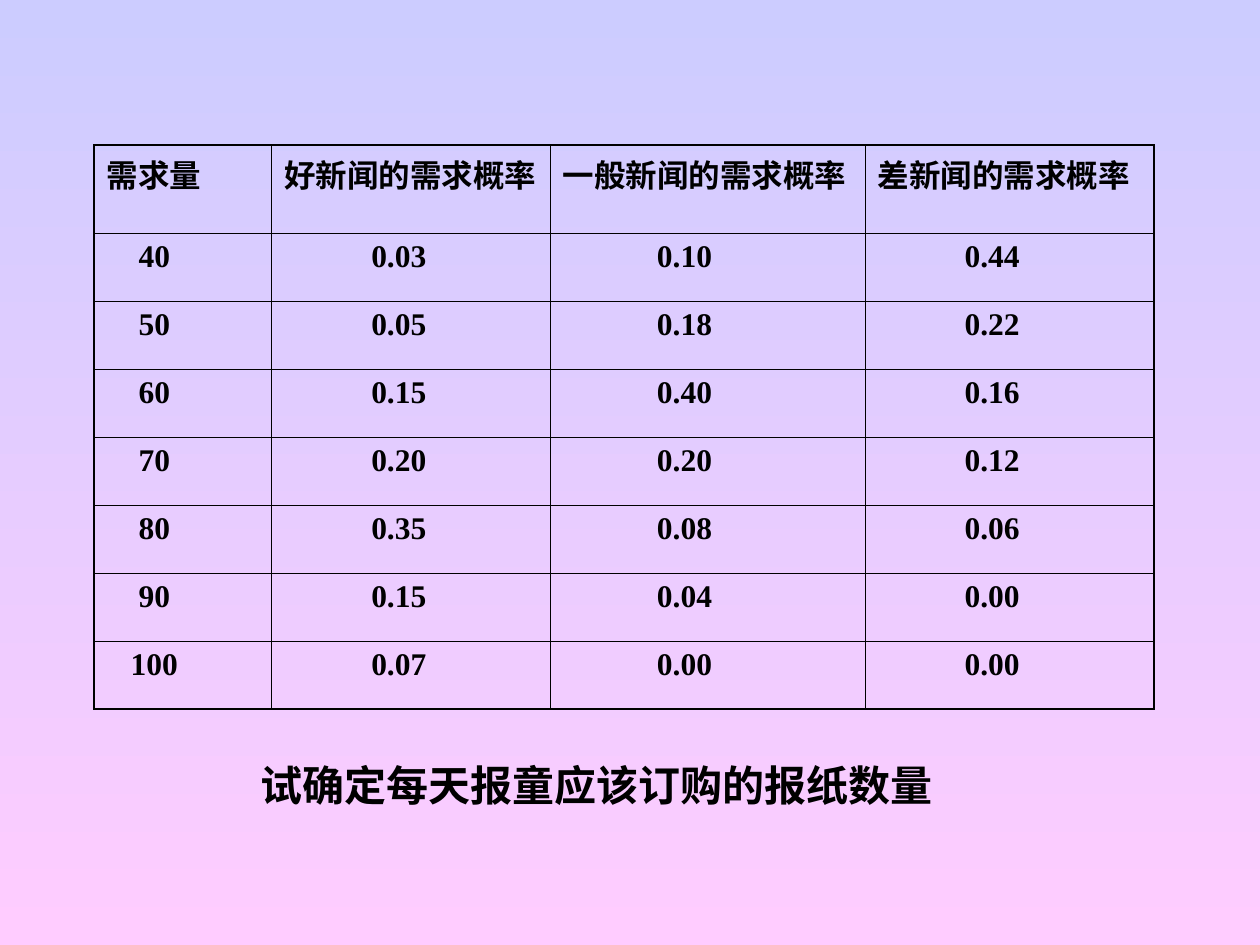
"""Build a slide with a table of newspaper demand probabilities."""
import pptx
import pptx.util
import pptx.dml.color
import pptx.oxml
import pptx.oxml.ns

Cm = pptx.util.Cm
Pt = pptx.util.Pt
BLACK = pptx.dml.color.RGBColor(0x00, 0x00, 0x00)
BLUE = pptx.dml.color.RGBColor(0xCC, 0xCC, 0xFF)
PINK = pptx.dml.color.RGBColor(0xFF, 0xCC, 0xFF)
THIN, THICK = Pt(0.45), Pt(1.08)
ROWS = [
    ("需求量", "好新闻的需求概率", "一般新闻的需求概率", "差新闻的需求概率"),
    ("40", "0.03", "0.10", "0.44"),
    ("50", "0.05", "0.18", "0.22"),
    ("60", "0.15", "0.40", "0.16"),
    ("70", "0.20", "0.20", "0.12"),
    ("80", "0.35", "0.08", "0.06"),
    ("90", "0.15", "0.04", "0.00"),
    ("100", "0.07", "0.00", "0.00"),
]
WIDTHS = [3.58, 5.61, 6.35, 5.82]
INDENTS = [0.64, 1.75, 1.9, 1.75]


def add_run(para, text, size, font):
    run = para.add_run()
    run.text = text
    run.font.size = Pt(size)
    run.font.name = font
    run.font.bold = True
    run.font.color.rgb = BLACK


def add_edge(cell, side, width):
    cell._tc.get_or_add_tcPr().append(pptx.oxml.parse_xml(
        f'<a:ln{side} {pptx.oxml.ns.nsdecls("a")} w="{width}"><a:solidFill>'
        f'<a:srgbClr val="{BLACK}"/></a:solidFill></a:ln{side}>'))


deck = pptx.Presentation()
deck.slide_width, deck.slide_height = Cm(25.4), Cm(19.05)
slide = deck.slides.add_slide(deck.slide_layouts[6])

back = slide.background.fill
back.gradient()
back.gradient_angle = 270
for stop, color in zip(back.gradient_stops, (BLUE, PINK)):
    stop.color.rgb = color

frame = slide.shapes.add_table(
    len(ROWS), len(WIDTHS), Cm(1.9), Cm(2.92), Cm(sum(WIDTHS)), Cm(11.35))
table = frame.table
table.first_row = False
table.horz_banding = False
for col, width in zip(table.columns, WIDTHS):
    col.width = Cm(width)
for i, row in enumerate(table.rows):
    row.height = Cm(1.37 if i else 1.78)

last_row, last_col = len(ROWS) - 1, len(WIDTHS) - 1
for i, values in enumerate(ROWS):
    for j, value in enumerate(values):
        cell = table.cell(i, j)
        para = cell.text_frame.paragraphs[0]
        if i:
            indent = 0.48 if value == "100" else INDENTS[j]
            para._p.get_or_add_pPr().set("marL", str(Cm(indent)))
        add_run(para, value, 18, "Times New Roman")
        outer = {"L": j == 0, "R": j == last_col, "T": i == 0, "B": i == last_row}
        for side, thick in outer.items():
            add_edge(cell, side, THICK if thick else THIN)
        cell.fill.background()

task = slide.shapes.add_textbox(Cm(5), Cm(15.19), Cm(14.05), Cm(1.27))
task.text_frame.word_wrap = False
task.text_frame.auto_size = pptx.enum.text.MSO_AUTO_SIZE.SHAPE_TO_FIT_TEXT
add_run(task.text_frame.paragraphs[0], "试确定每天报童应该订购的报纸数量", 24, "Arial")

deck.save("out.pptx")
